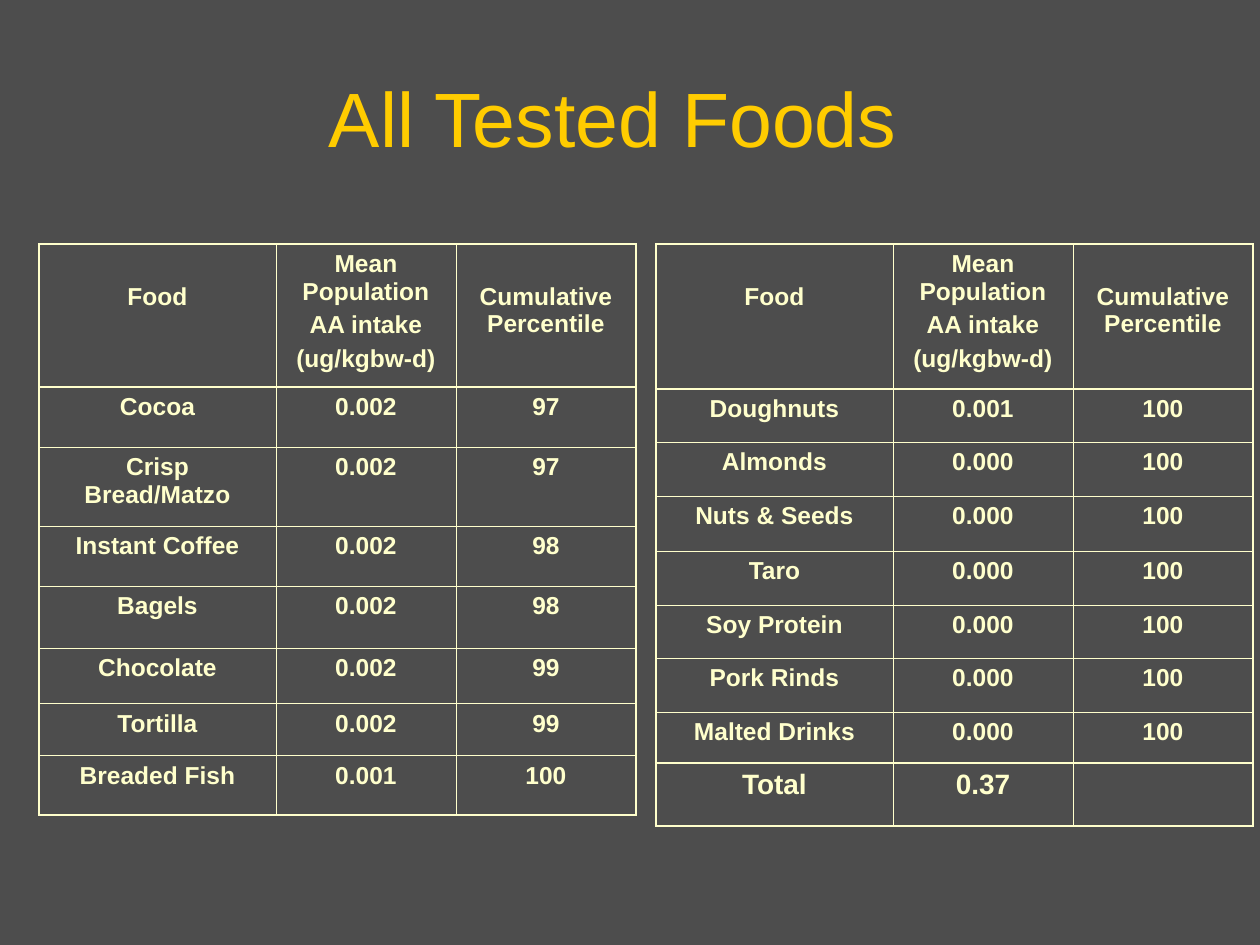
from lxml.etree import SubElement
from pptx import Presentation
from pptx.dml.color import RGBColor
from pptx.enum.text import MSO_ANCHOR, PP_ALIGN
from pptx.oxml.ns import qn
from pptx.util import Pt

COLORS = {"background": "4D4D4D", "title": "FFCC00", "cream": "FFFFCC"}
FONT = "Arial"
THIN, OUTER, HEAVY = 0.45, 1.08, 1.47

TITLE = "All Tested Foods"
HEADER = [
    ["Food"],
    ["Mean Population", "AA intake", "(ug/kgbw-d)"],
    ["Cumulative Percentile"],
]
FOOD_TABLES = [
    {
        "left": 39,
        "heights": [143, 60, 79, 60, 62, 56, 52, 59],
        "foods": [
            ("Cocoa", "0.002", "97"),
            ("Crisp Bread/Matzo", "0.002", "97"),
            ("Instant Coffee", "0.002", "98"),
            ("Bagels", "0.002", "98"),
            ("Chocolate", "0.002", "99"),
            ("Tortilla", "0.002", "99"),
            ("Breaded Fish", "0.001", "100"),
        ],
    },
    {
        "left": 656,
        "heights": [145, 53, 54, 55, 54, 53, 54, 51, 63],
        "foods": [
            ("Doughnuts", "0.001", "100"),
            ("Almonds", "0.000", "100"),
            ("Nuts & Seeds", "0.000", "100"),
            ("Taro", "0.000", "100"),
            ("Soy Protein", "0.000", "100"),
            ("Pork Rinds", "0.000", "100"),
            ("Malted Drinks", "0.000", "100"),
            ("Total", "0.37", ""),
        ],
    },
]
TABLE_TOP = 244
COLUMN_WIDTHS = [237, 180, 180]
HEADER_DROP = 39  # top margin that sets short headings one line lower


def px(length):
    return round(length * 914400 / 126)


def add_run(paragraph, text, size, color, bold=False):
    run = paragraph.add_run()
    run.text = text
    run.font.name = FONT
    run.font.size = Pt(size)
    run.font.bold = bold
    run.font.color.rgb = RGBColor.from_string(COLORS[color])


def write_cell(cell, lines, size):
    frame = cell.text_frame
    for i, line in enumerate(lines):
        paragraph = frame.add_paragraph() if i else frame.paragraphs[0]
        paragraph.alignment = PP_ALIGN.CENTER
        if i:
            paragraph.space_before = Pt(3.5)
        if line:
            add_run(paragraph, line, size, "cream", bold=True)


def set_borders(cell, widths):
    """Draw the left, right, top and bottom edges in the given point widths."""
    properties = cell._tc.get_or_add_tcPr()
    for side, width in zip("LRTB", widths):
        line = SubElement(properties, qn(f"a:ln{side}"), w=str(Pt(width)))
        fill = SubElement(line, qn("a:solidFill"))
        SubElement(fill, qn("a:srgbClr"), val=COLORS["cream"])


def add_food_table(slide, left, heights, foods):
    rows = [HEADER] + [[[text] for text in food] for food in foods]
    table = slide.shapes.add_table(
        len(rows), len(HEADER), px(left), px(TABLE_TOP),
        px(sum(COLUMN_WIDTHS)), px(sum(heights))).table
    table.first_row = table.horz_banding = False
    for column, width in zip(table.columns, COLUMN_WIDTHS):
        column.width = px(width)
    for row, height in zip(table.rows, heights):
        row.height = px(height)

    is_total = [row[0] == ["Total"] for row in rows]
    edges = [OUTER, HEAVY]
    edges += [HEAVY if total else THIN for total in is_total[2:]] + [OUTER]
    sides = [OUTER] + [THIN] * (len(HEADER) - 1) + [OUTER]

    for r, row in enumerate(rows):
        for c, lines in enumerate(row):
            cell = table.cell(r, c)
            write_cell(cell, lines, 16 if is_total[r] else 14)
            if r == 0 and len(lines) == 1:
                cell.margin_top = px(HEADER_DROP)
            set_borders(cell, (sides[c], sides[c + 1], edges[r], edges[r + 1]))
            cell.fill.background()


def main():
    presentation = Presentation()
    presentation.slide_width, presentation.slide_height = px(1260), px(945)
    slide = presentation.slides.add_slide(presentation.slide_layouts[5])
    background = slide.background.fill
    background.solid()
    background.fore_color.rgb = RGBColor.from_string(COLORS["background"])

    title = slide.shapes.title
    title.left, title.top, title.width, title.height = map(px, (84, 63, 1058, 106))
    title.text_frame.vertical_anchor = MSO_ANCHOR.BOTTOM
    heading = title.text_frame.paragraphs[0]
    heading.alignment = PP_ALIGN.CENTER
    add_run(heading, TITLE, 44, "title")

    for food_table in FOOD_TABLES:
        add_food_table(slide, **food_table)
    presentation.save("out.pptx")


if __name__ == "__main__":
    main()
